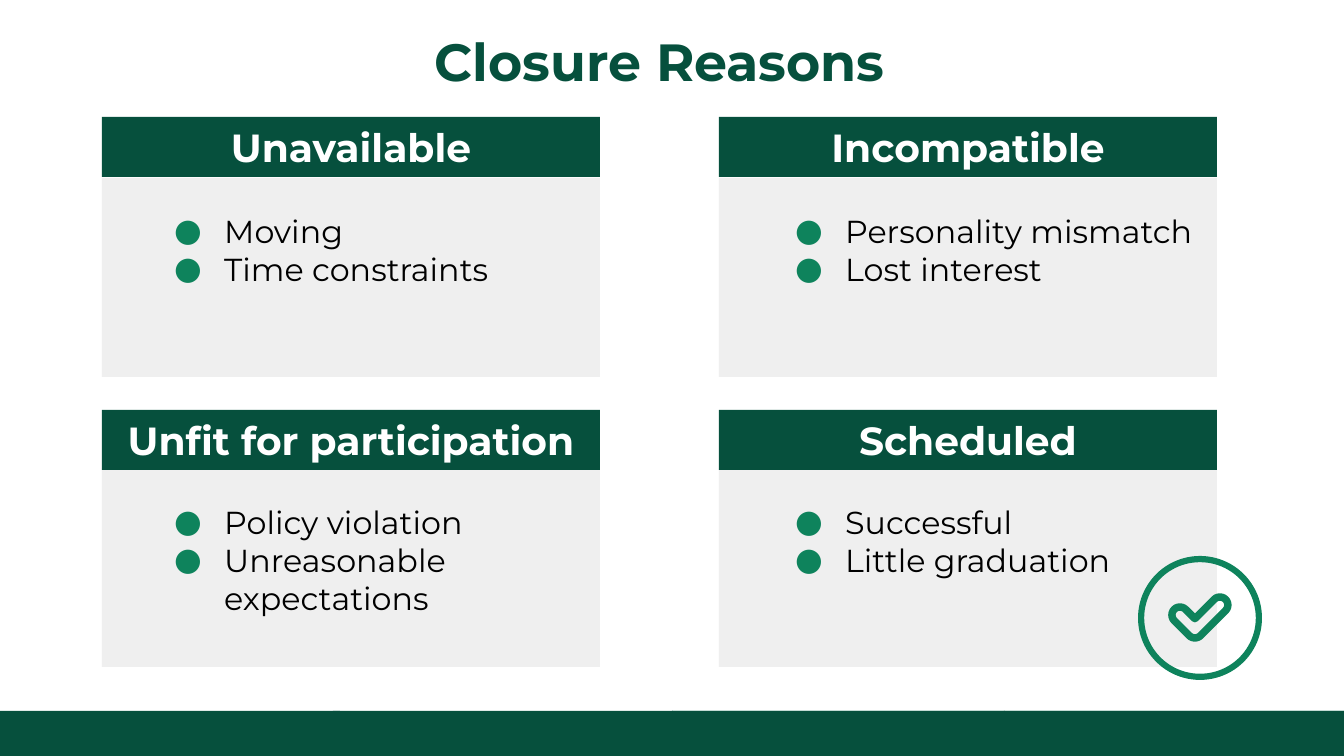
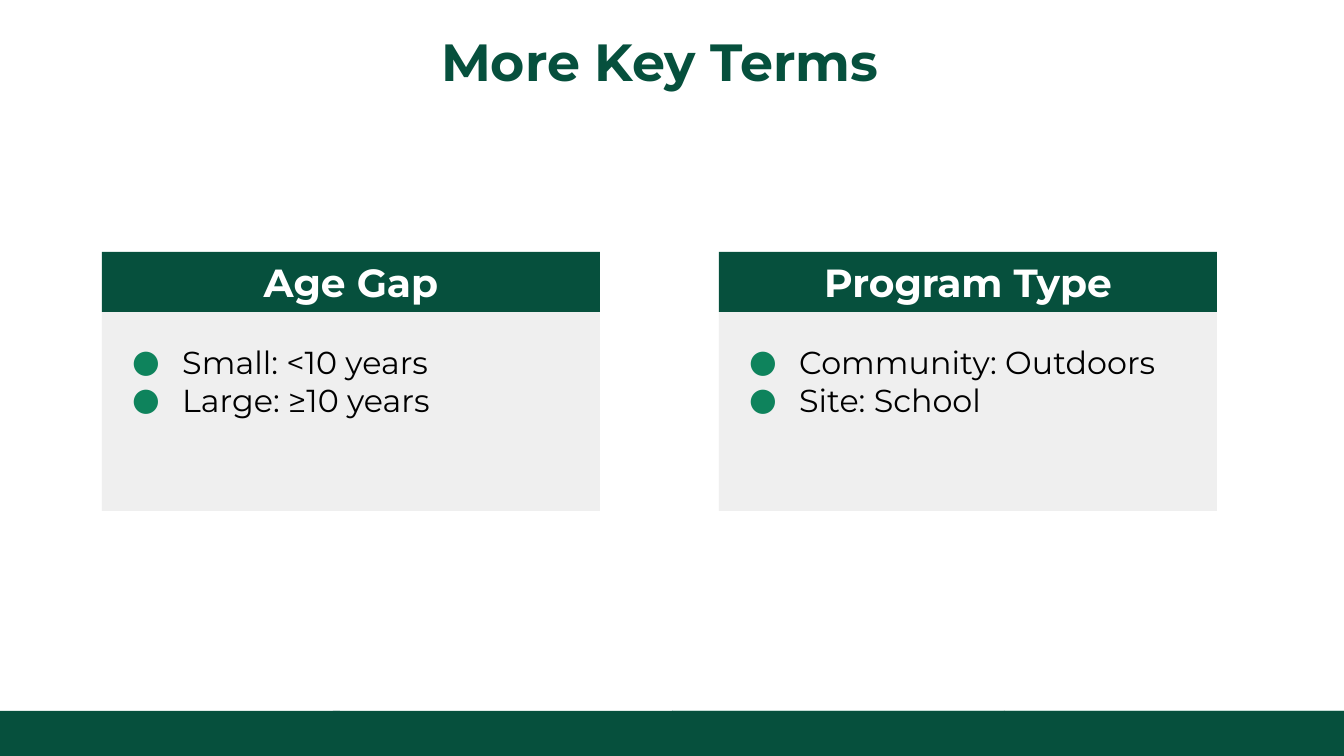
from collections import namedtuple
from math import cos, radians, sin, sqrt

from lxml import etree
from pptx import Presentation
from pptx.dml.color import RGBColor
from pptx.enum.shapes import MSO_SHAPE
from pptx.enum.text import MSO_ANCHOR, MSO_AUTO_SIZE, PP_ALIGN
from pptx.oxml.ns import qn
from pptx.util import Pt

RECTANGLE, DONUT = MSO_SHAPE.RECTANGLE, MSO_SHAPE.DONUT
LEFT, CENTER = PP_ALIGN.LEFT, PP_ALIGN.CENTER
TOP, NO_AUTOFIT = MSO_ANCHOR.TOP, MSO_AUTO_SIZE.NONE

DARK_GREEN = RGBColor(0x06, 0x50, 0x3D)
GREEN = RGBColor(0x0E, 0x83, 0x5C)
PALE_GRAY = RGBColor(0xEF, 0xEF, 0xEF)
WHITE = RGBColor(0xFF, 0xFF, 0xFF)
BLACK = RGBColor(0x00, 0x00, 0x00)

SCALE = 914400 / 134.4
FONT = "Montserrat"
TITLE_FONT = {"name": FONT, "size": Pt(28), "bold": True}
HEADING_FONT = {"name": FONT, "size": Pt(21), "bold": True}
REASON_FONT = {"name": FONT, "size": Pt(17), "bold": False}

SLIDE_WIDTH, SLIDE_HEIGHT = 1344, 756
CARD_WIDTH, HEADER_HEIGHT, BODY_HEIGHT = 498, 60, 199
FOOTER_TOP = 711
FOOTER_BANDS = [
    (672, 672, GREEN),
    (333, 340, DARK_GREEN),
    (672, 333, DARK_GREEN),
    (1004, 340, DARK_GREEN),
    (0, 340, DARK_GREEN),
]

Column = namedtuple("Column", "left list_left list_width")
Row = namedtuple("Row", "header_top body_top list_top heading_height")
Card = namedtuple("Card", "column row heading items overhang", defaults=[0])

CLOSURE_COLUMNS = [Column(102, 144, 457), Column(719, 765, 452)]
TERM_COLUMNS = [Column(102, 102, 457), Column(719, 719, 452)]
UPPER_ROW = Row(117, 178, 198, 75)
LOWER_ROW = Row(410, 468, 489, 60)
MIDDLE_ROW = Row(252, 312, 329, 75)


def px(length):
    return round(length * SCALE)


class Deck:
    def __init__(self):
        self.presentation = Presentation()
        self.presentation.slide_width = px(SLIDE_WIDTH)
        self.presentation.slide_height = px(SLIDE_HEIGHT)
        self.slide = None

    def start_slide(self, title):
        layout = self.presentation.slide_layouts[5]
        self.slide = self.presentation.slides.add_slide(layout)
        heading = self.slide.shapes.title
        place = {"left": 93, "top": 16, "width": 1133, "height": 85}
        for name, length in place.items():
            setattr(heading, name, px(length))
        self.fill_text(heading, [title], TITLE_FONT, DARK_GREEN, CENTER)

    def fill_text(self, box, lines, font, color, align, bulleted=False, after=0):
        frame = box.text_frame
        settings = {
            "word_wrap": True,
            "auto_size": NO_AUTOFIT,
            "vertical_anchor": TOP,
            "margin_left": Pt(7.2),
            "margin_right": Pt(7.2),
            "margin_top": Pt(7.2),
            "margin_bottom": Pt(7.2),
        }
        for name, value in settings.items():
            setattr(frame, name, value)
        for index, line in enumerate(lines):
            paragraph = frame.add_paragraph() if index else frame.paragraphs[0]
            paragraph.alignment = align
            if after:
                paragraph.space_after = Pt(after)
            if bulleted:
                self.bullet(paragraph)
            run = paragraph.add_run()
            run.text = line
            for name, value in font.items():
                setattr(run.font, name, value)
            run.font.color.rgb = color

    def bullet(self, paragraph):
        properties = paragraph._p.get_or_add_pPr()
        properties.set("marL", str(px(67)))
        properties.set("indent", str(px(-50)))
        bullet_color = etree.SubElement(properties, qn("a:buClr"))
        etree.SubElement(bullet_color, qn("a:srgbClr"), val=str(GREEN))
        etree.SubElement(properties, qn("a:buFont"), typeface=FONT)
        etree.SubElement(properties, qn("a:buChar"), char="●")

    def text(self, left, top, width, height, lines, **style):
        box = self.slide.shapes.add_textbox(*map(px, (left, top, width, height)))
        self.fill_text(box, lines, **style)

    def shape(self, left, top, width, height, color, kind=RECTANGLE, group=None):
        shapes = (group or self.slide).shapes
        shape = shapes.add_shape(kind, *map(px, (left, top, width, height)))
        shape.shadow.inherit = False
        shape.fill.solid()
        shape.fill.fore_color.rgb = color
        shape.line.fill.background()
        return shape

    def outline(self, points, color, weight, group):
        corners = [(px(x), px(y)) for x, y in points]
        builder = group.shapes.build_freeform(*corners[0], scale=1)
        builder.add_line_segments(corners[1:], close=True)
        shape = builder.convert_to_shape()
        shape.shadow.inherit = False
        shape.fill.background()
        shape.line.color.rgb = color
        shape.line.width = Pt(weight)

    def cards(self, cards):
        for card in cards:
            self.shape(card.column.left, card.row.body_top,
                       CARD_WIDTH, BODY_HEIGHT, PALE_GRAY)
        for card in cards:
            self.shape(card.column.left, card.row.header_top,
                       CARD_WIDTH, HEADER_HEIGHT, DARK_GREEN)
        for card in cards:
            self.text(card.column.left - card.overhang, card.row.header_top - 7,
                      CARD_WIDTH + 2 * card.overhang, card.row.heading_height,
                      [card.heading], font=HEADING_FONT, color=WHITE,
                      align=CENTER, after=16)
            self.text(card.column.list_left, card.row.list_top,
                      card.column.list_width, 155, card.items,
                      font=REASON_FONT, color=BLACK, align=LEFT, bulleted=True)

    def check_badge(self):
        badge = self.slide.shapes.add_group_shape()
        ring = self.shape(1138, 556, 124, 124, GREEN, DONUT, badge)
        ring.adjustments[0] = 0.05
        radius = 8
        elbow_x, elbow_y = 1195, 630
        arcs = [
            (1220, 605, -135, 45),
            (elbow_x, elbow_y, 45, 135),
            (1180, 615, 135, 315),
        ]
        points = [
            (x + radius * cos(radians(angle)), y + radius * sin(radians(angle)))
            for x, y, start, end in arcs
            for angle in range(start, end + 1, 15)
        ]
        points.append((elbow_x, elbow_y - radius * sqrt(2)))
        self.outline(points, GREEN, 4, badge)

    def footer(self):
        for left, width, color in FOOTER_BANDS:
            self.shape(left, FOOTER_TOP, width, SLIDE_HEIGHT - FOOTER_TOP, color)


def main():
    deck = Deck()

    deck.start_slide("Closure Reasons")
    first, second = CLOSURE_COLUMNS
    deck.cards([
        Card(first, UPPER_ROW, "Unavailable", ["Moving", "Time constraints"]),
        Card(second, UPPER_ROW, "Incompatible",
             ["Personality mismatch", "Lost interest"]),
        Card(first, LOWER_ROW, "Unfit for participation",
             ["Policy violation", "Unreasonable expectations"], 20),
        Card(second, LOWER_ROW, "Scheduled", ["Successful", "Little graduation"]),
    ])
    deck.check_badge()
    deck.footer()

    deck.start_slide("More Key Terms")
    first, second = TERM_COLUMNS
    deck.cards([
        Card(first, MIDDLE_ROW, "Age Gap", ["Small: <10 years", "Large: ≥10 years"]),
        Card(second, MIDDLE_ROW, "Program Type",
             ["Community: Outdoors", "Site: School"]),
    ])
    deck.footer()

    deck.presentation.save("out.pptx")


if __name__ == "__main__":
    main()
